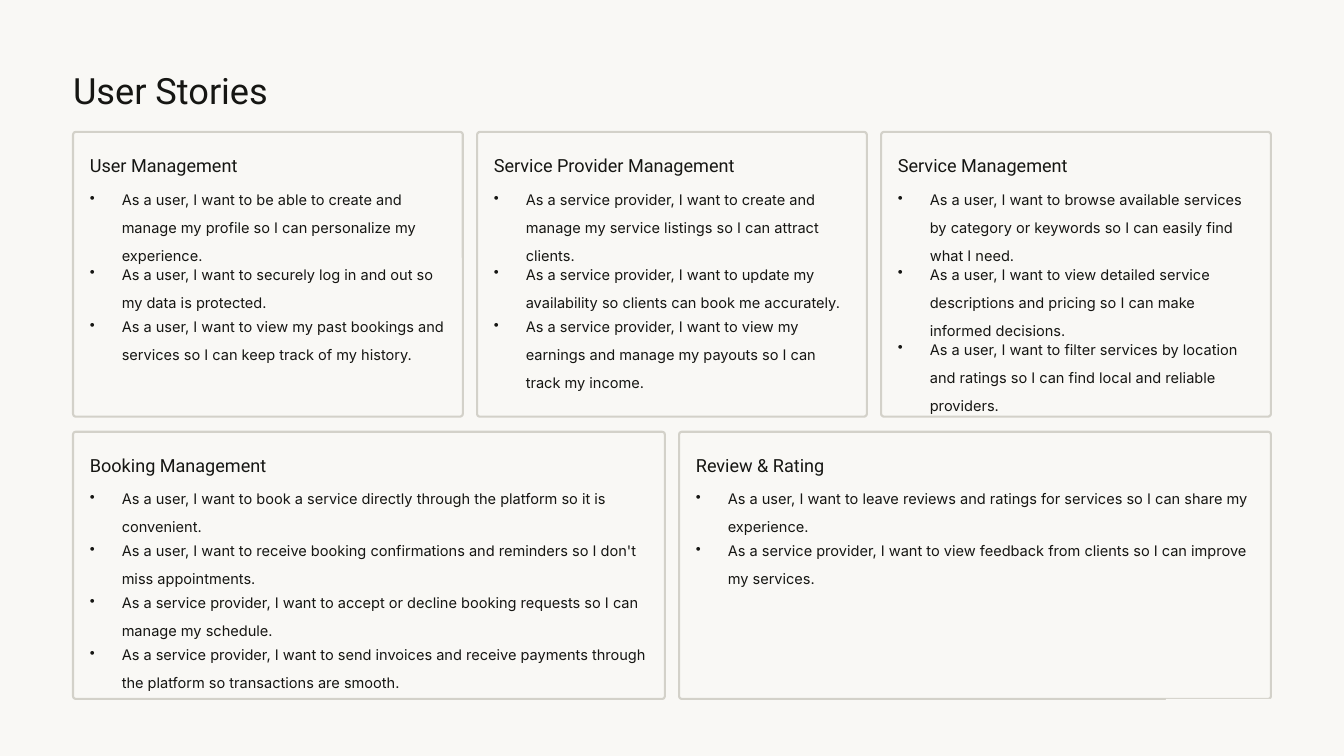
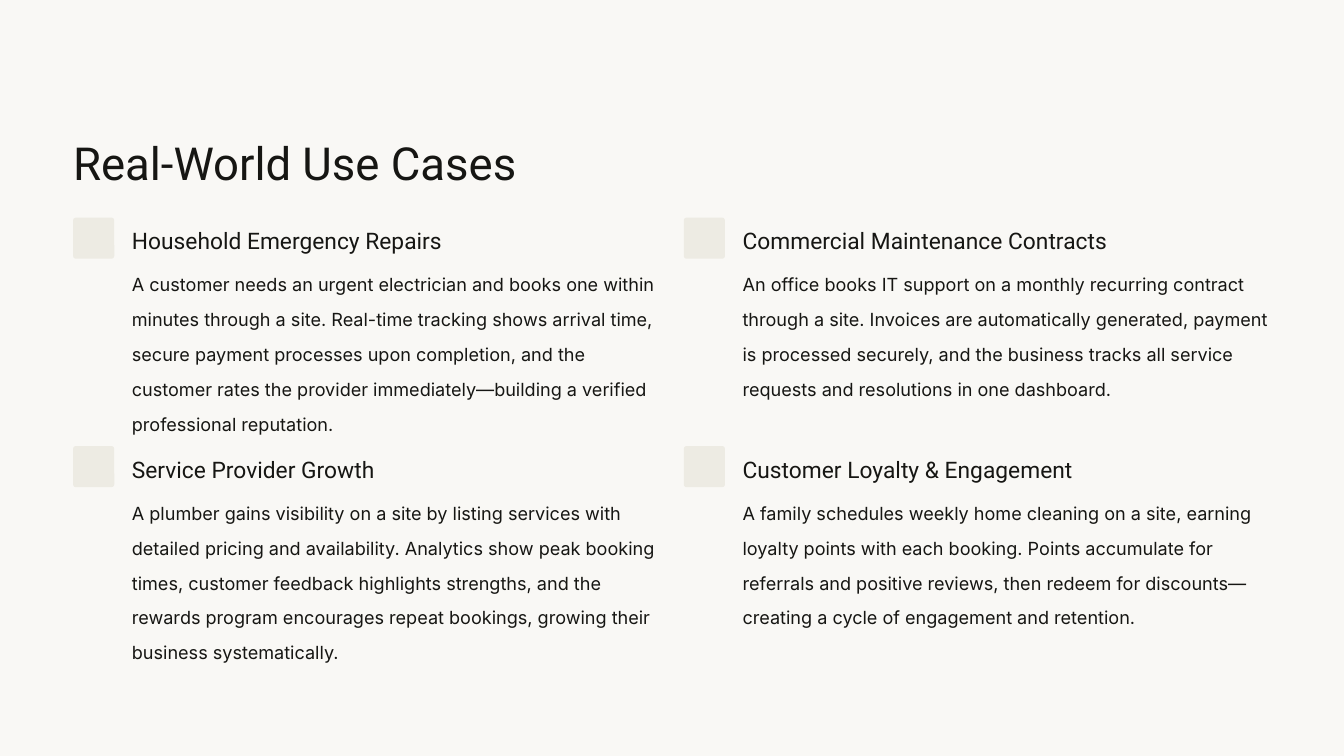
from dataclasses import dataclass

from lxml import etree
from pptx import Presentation
from pptx import util as u
from pptx.dml.color import RGBColor
from pptx.enum import shapes, text
from pptx.oxml import ns

SLIDE_WIDTH, SLIDE_HEIGHT = 16, 9
MARGIN = 0.87
CONTENT_WIDTH = SLIDE_WIDTH - 2 * MARGIN
PAPER, INK, BORDER, TILE = "F9F8F5", "161613", "D3D1C9", "EDEBE3"
HEADING_FONT, BODY_FONT = "Roboto", "Inter"

CARD_GAP, CARD_PADDING = 0.17, 0.2
STORY_LINE, STORY_EXTRA, STORY_GAP, STORY_INDENT = 0.27, 0.02, 0.06, 0.38

CASE_GAP, CASE_TOP, CASE_PITCH = 0.28, 2.59, 2.72
CASE_TILE, CASE_INDENT, CASE_LINE = 0.49, 0.7, 0.35


@dataclass(frozen=True)
class Style:
    font: str
    size: float
    spacing: float
    bullet: bool = False


@dataclass(frozen=True)
class Box:
    left: float
    top: float
    width: float
    height: float

    def lengths(self) -> list[u.Inches]:
        return [u.Inches(side) for side in (self.left, self.top, self.width, self.height)]


@dataclass(frozen=True)
class Story:
    lines: int
    wording: str


@dataclass(frozen=True)
class Card:
    heading: str
    heading_width: float
    stories: tuple[Story, ...]


@dataclass(frozen=True)
class CardRow:
    top: float
    height: float
    heading_to_story: float
    cards: tuple[Card, ...]


@dataclass(frozen=True)
class UseCase:
    heading: str
    heading_width: float
    lines: int
    wording: str


CARD_HEADING = Style(HEADING_FONT, 15.5, 1.26)
STORY = Style(BODY_FONT, 12.5, 1.6, bullet=True)
CASE_HEADING = Style(HEADING_FONT, 19.5, 1.23)
CASE_BODY = Style(BODY_FONT, 15.5, 1.61)

CARD_ROWS = (
    CardRow(1.57, 3.39, 0.38, (
        Card("User Management", 2.17, (
            Story(3, "As a user, I want to be able to create and manage my profile so I can personalize my experience."),
            Story(2, "As a user, I want to securely log in and out so my data is protected."),
            Story(2, "As a user, I want to view my past bookings and services so I can keep track of my history."),
        )),
        Card("Service Provider Management", 3.06, (
            Story(3, "As a service provider, I want to create and manage my service listings so I can attract clients."),
            Story(2, "As a service provider, I want to update my availability so clients can book me accurately."),
            Story(3, "As a service provider, I want to view my earnings and manage my payouts so I can track my income."),
        )),
        Card("Service Management", 2.17, (
            Story(3, "As a user, I want to browse available services by category or keywords so I can easily find what I need."),
            Story(3, "As a user, I want to view detailed service descriptions and pricing so I can make informed decisions."),
            Story(3, "As a user, I want to filter services by location and ratings so I can find local and reliable providers."),
        )),
    )),
    CardRow(5.14, 3.18, 0.37, (
        Card("Booking Management", 2.21, (
            Story(2, "As a user, I want to book a service directly through the platform so it is convenient."),
            Story(2, "As a user, I want to receive booking confirmations and reminders so I don't miss appointments."),
            Story(2, "As a service provider, I want to accept or decline booking requests so I can manage my schedule."),
            Story(2, "As a service provider, I want to send invoices and receive payments through the platform so transactions are smooth."),
        )),
        Card("Review & Rating", 2.17, (
            Story(2, "As a user, I want to leave reviews and ratings for services so I can share my experience."),
            Story(2, "As a service provider, I want to view feedback from clients so I can improve my services."),
        )),
    )),
)

USE_CASES = (
    UseCase("Household Emergency Repairs", 6.02, 5,
            "A customer needs an urgent electrician and books one within minutes through a site. Real-time tracking shows arrival time, secure payment processes upon completion, and the customer rates the provider immediately—building a verified professional reputation."),
    UseCase("Commercial Maintenance Contracts", 5.77, 4,
            "An office books IT support on a monthly recurring contract through a site. Invoices are automatically generated, payment is processed securely, and the business tracks all service requests and resolutions in one dashboard."),
    UseCase("Service Provider Growth", 5.87, 5,
            "A plumber gains visibility on a site by listing services with detailed pricing and availability. Analytics show peak booking times, customer feedback highlights strengths, and the rewards program encourages repeat bookings, growing their business systematically."),
    UseCase("Customer Loyalty & Engagement", 5.54, 4,
            "A family schedules weekly home cleaning on a site, earning loyalty points with each booking. Points accumulate for referrals and positive reviews, then redeem for discounts—creating a cycle of engagement and retention."),
)


def color(value: str) -> RGBColor:
    return RGBColor.from_string(value)


def columns(count: int, gap: float) -> tuple[list[float], float]:
    width = (CONTENT_WIDTH - (count - 1) * gap) / count
    return [MARGIN + index * (width + gap) for index in range(count)], width


def add_bullet(paragraph) -> None:
    properties = paragraph._p.get_or_add_pPr()
    indent = u.Inches(STORY_INDENT)
    properties.set("marL", str(indent))
    properties.set("indent", str(-indent))
    bullet_color = etree.SubElement(properties, ns.qn("a:buClr"))
    etree.SubElement(bullet_color, ns.qn("a:srgbClr"), val=INK)
    etree.SubElement(properties, ns.qn("a:buChar"), char="•")


def add_text(slide, box: Box, wording: str, style: Style) -> None:
    frame = slide.shapes.add_textbox(*box.lengths()).text_frame
    frame.word_wrap = True
    frame.vertical_anchor = text.MSO_ANCHOR.TOP
    frame.margin_left = frame.margin_top = frame.margin_right = frame.margin_bottom = 0
    frame.text = wording
    paragraph = frame.paragraphs[0]
    if style.bullet:
        add_bullet(paragraph)
    paragraph.line_spacing = style.spacing
    for run in paragraph.runs:
        run.font.name = style.font
        run.font.size = u.Pt(style.size)
        run.font.color.rgb = color(INK)


def add_panel(slide, box: Box, fill: str, rounding: float = 0, border: str = "") -> None:
    kind = shapes.MSO_SHAPE.ROUNDED_RECTANGLE if rounding else shapes.MSO_SHAPE.RECTANGLE
    shape = slide.shapes.add_shape(kind, *box.lengths())
    shape.shadow.inherit = False
    shape.fill.solid()
    shape.fill.fore_color.rgb = color(fill)
    if rounding:
        shape.adjustments[0] = rounding
    if border:
        shape.line.color.rgb = color(border)
        shape.line.width = u.Pt(1.8)
    else:
        shape.line.fill.background()


def add_slide(presentation, title: str, box: Box, style: Style):
    slide = presentation.slides.add_slide(presentation.slide_layouts[6])
    slide.background.fill.solid()
    slide.background.fill.fore_color.rgb = color(PAPER)
    add_text(slide, box, title, style)
    return slide


def add_corner(slide, top: float) -> None:
    add_panel(slide, Box(13.88, top, 2, SLIDE_HEIGHT - top), PAPER)


def add_card(slide, card: Card, box: Box, heading_to_story: float) -> None:
    add_panel(slide, box, PAPER, 0.01, BORDER)
    left, top = box.left + CARD_PADDING, box.top + CARD_PADDING
    add_text(slide, Box(left, top, card.heading_width, 0.27), card.heading, CARD_HEADING)
    top += heading_to_story
    for story in card.stories:
        height = story.lines * STORY_LINE + STORY_EXTRA
        add_text(slide, Box(left, top, box.width - 2 * CARD_PADDING, height), story.wording, STORY)
        top += height + STORY_GAP


def add_use_case(slide, case: UseCase, left: float, top: float, width: float) -> None:
    add_panel(slide, Box(left, top, CASE_TILE, CASE_TILE), TILE, 0.07)
    left += CASE_INDENT
    add_text(slide, Box(left, top + 0.04, case.heading_width, 0.34), case.heading, CASE_HEADING)
    body = Box(left, top + 0.51, width - CASE_INDENT, case.lines * CASE_LINE)
    add_text(slide, body, case.wording, CASE_BODY)


def build_user_stories(presentation) -> None:
    slide = add_slide(presentation, "User Stories", Box(MARGIN, 0.68, 4.34, 0.54),
                      Style(HEADING_FONT, 31, 1.26))
    for row in CARD_ROWS:
        lefts, width = columns(len(row.cards), CARD_GAP)
        for left, card in zip(lefts, row.cards):
            add_card(slide, card, Box(left, row.top, width, row.height), row.heading_to_story)
    add_corner(slide, 8.32)


def build_use_cases(presentation) -> None:
    slide = add_slide(presentation, "Real-World Use Cases", Box(MARGIN, 1.45, 9.04, 0.68),
                      Style(HEADING_FONT, 39, 1.24))
    lefts, width = columns(2, CASE_GAP)
    for index, case in enumerate(USE_CASES):
        row, column = divmod(index, len(lefts))
        add_use_case(slide, case, lefts[column], CASE_TOP + row * CASE_PITCH, width)
    add_corner(slide, 8.27)


def main() -> None:
    presentation = Presentation()
    presentation.slide_width = u.Inches(SLIDE_WIDTH)
    presentation.slide_height = u.Inches(SLIDE_HEIGHT)
    build_user_stories(presentation)
    build_use_cases(presentation)
    presentation.save("out.pptx")


if __name__ == "__main__":
    main()
